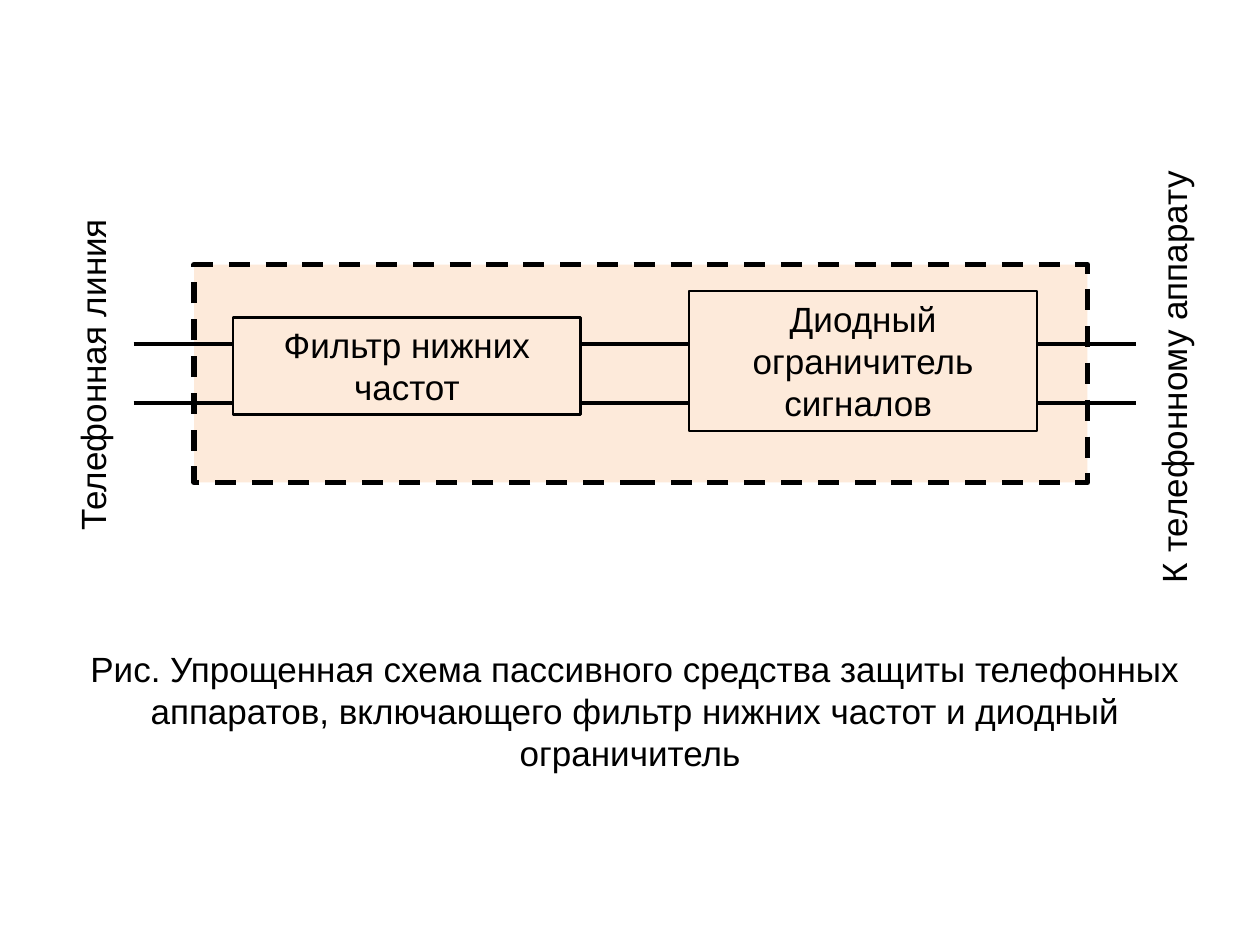
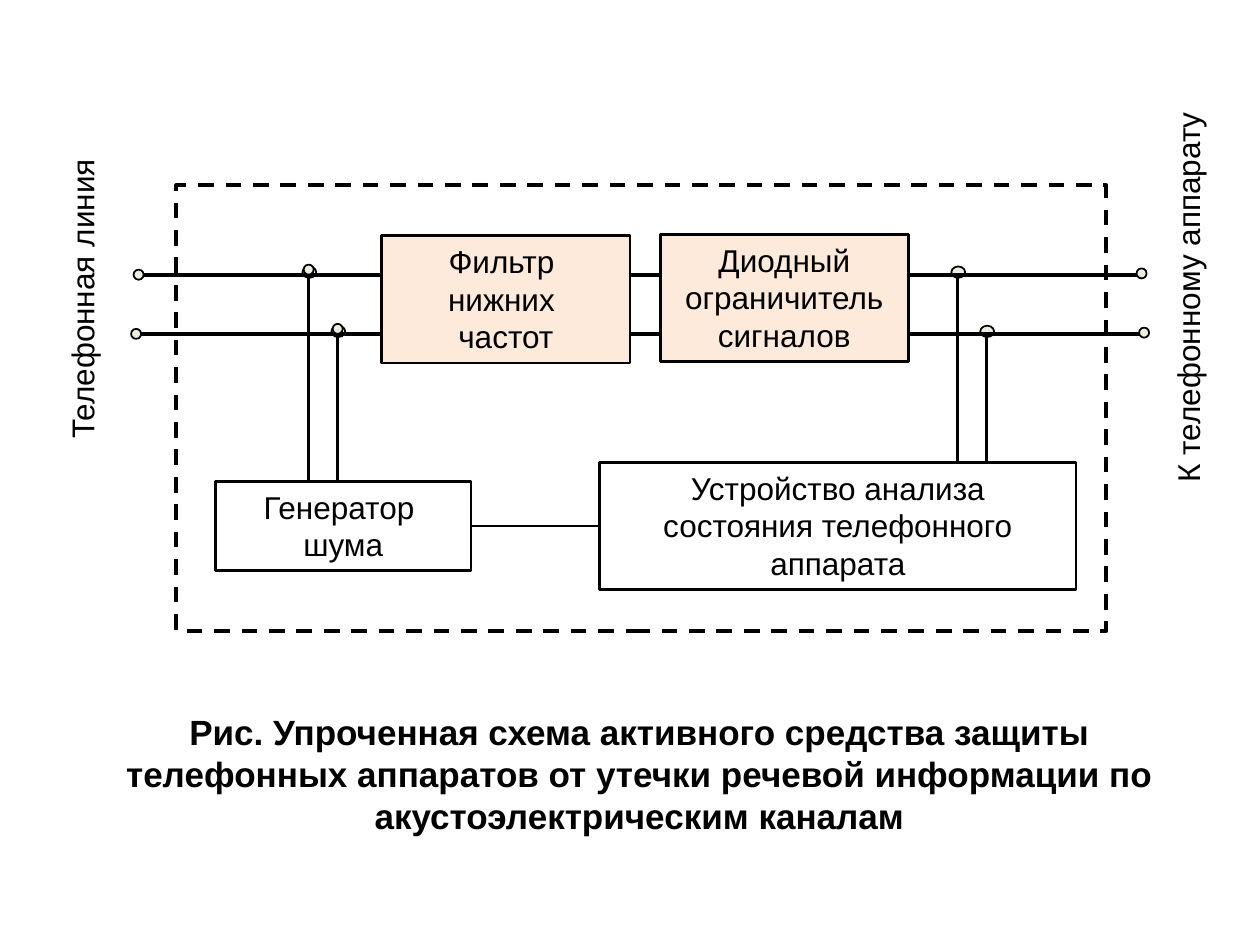
from dataclasses import dataclass

from lxml.etree import SubElement
from pptx import Presentation
from pptx.dml.color import RGBColor
from pptx.enum.dml import MSO_LINE
from pptx.enum.shapes import MSO_CONNECTOR, MSO_SHAPE
from pptx.enum.text import MSO_ANCHOR, MSO_AUTO_SIZE, PP_ALIGN
from pptx.oxml.ns import qn
from pptx.util import Inches, Pt


@dataclass(frozen=True)
class Theme:
    """Colours, type sizes and line widths in points."""
    font: str = "Arial"
    ink: str = "000000"
    peach: str = "FDEADA"
    cream: str = "EEECE1"
    white: str = "FFFFFF"
    large: int = 20
    small: int = 18
    heavy: float = 3
    wire: float = 2.25
    edge: float = 1.5
    fine: float = 1


class Sketch:
    """Draws circuit parts on a grid of 100 columns by 75 rows."""

    def __init__(self, deck, theme):
        self.deck, self.theme = deck, theme
        self.col = deck.slide_width / 100
        self.row = deck.slide_height / 75
        self.slide = None

    def page(self):
        """Start a new blank slide."""
        self.slide = self.deck.slides.add_slide(self.deck.slide_layouts[6])

    def place(self, x, y, w, h):
        """Turn grid cells into slide lengths."""
        return [round(n * unit) for n, unit in zip((x, y, w, h), (self.col, self.row) * 2)]

    def letter(self, shape, lines, size, align=PP_ALIGN.CENTER, bold=False, wrap=True):
        """Fill a shape with paragraphs in one style."""
        frame = shape.text_frame
        frame.word_wrap = wrap
        frame.auto_size = MSO_AUTO_SIZE.SHAPE_TO_FIT_TEXT
        frame.vertical_anchor = MSO_ANCHOR.TOP
        frame.text = "\n".join(lines)
        for para in frame.paragraphs:
            para.alignment = align
            font = para.font
            font.name, font.size, font.bold = self.theme.font, Pt(size), bold
            font.color.rgb = RGBColor.from_string(self.theme.ink)

    def stroke(self, line, width):
        """Give a line the ink colour and a width."""
        line.color.rgb = RGBColor.from_string(self.theme.ink)
        line.width = Pt(width)

    def shape(self, kind, area, fill, width):
        """Add an outlined preset shape."""
        shape = self.slide.shapes.add_shape(kind, *self.place(*area))
        shape.shadow.inherit = False
        if fill:
            shape.fill.solid()
            shape.fill.fore_color.rgb = RGBColor.from_string(fill)
        else:
            shape.fill.background()
        self.stroke(shape.line, width)
        return shape

    def frame(self, area, width, fill=None):
        """Add the dashed border of the device."""
        border = self.shape(MSO_SHAPE.RECTANGLE, area, fill, width)
        border.line.dash_style = MSO_LINE.DASH

    def block(self, area, lines, size, fill=None):
        """Add a named block of the circuit."""
        block = self.shape(MSO_SHAPE.RECTANGLE, area, fill, self.theme.edge)
        self.letter(block, lines, size)
        return block

    def dot(self, x, y, w=0.8, h=0.8):
        """Add a round contact centred on a point."""
        area = (x - w / 2, y - h / 2, w, h)
        self.shape(MSO_SHAPE.FLOWCHART_CONNECTOR, area, self.theme.cream, self.theme.fine)

    def wire(self, x1, y1, x2, y2, width):
        """Add a straight line between two points."""
        ends = self.place(x1, y1, x2, y2)
        wire = self.slide.shapes.add_connector(MSO_CONNECTOR.STRAIGHT, *ends)
        self.stroke(wire.line, width)
        SubElement(wire._element.spPr, qn("a:effectLst"))
        return wire

    def rails(self, x1, x2, rows):
        """Add the level wires of the phone line."""
        for y in rows:
            self.wire(x1, y, x2, y, self.theme.wire)

    def link(self, left, right, y):
        """Join the facing sides of two blocks."""
        wire = self.wire(0, y, 0, y, self.theme.edge)
        wire.begin_connect(left, 3)
        wire.end_connect(right, 1)

    def label(self, text, x, y, w, h, size):
        """Add a label centred on a point and read upwards."""
        box = self.slide.shapes.add_textbox(*self.place(x - w / 2, y - h / 2, w, h))
        box.rotation = 270
        self.letter(box, [text], size, align=PP_ALIGN.LEFT, wrap=False)

    def caption(self, text, area, bold=False):
        """Add the figure caption."""
        box = self.slide.shapes.add_textbox(*self.place(*area))
        self.letter(box, [text], self.theme.large, bold=bold)


LINE = "Телефонная линия"
PHONE = "К телефонному аппарату"


def passive(art):
    """Draw the passive protection circuit."""
    theme, rows = art.theme, (27.3, 32)
    size = theme.large
    art.page()
    art.caption("Рис. Упрощенная схема пассивного средства защиты телефонных аппаратов, "
                "включающего фильтр нижних частот и диодный ограничитель ",
                (5.1, 50.9, 90.6, 11.1))
    art.frame((15.4, 21, 70.9, 17.3), theme.heavy, theme.peach)
    art.block((18.5, 25.2, 27.6, 7.7), ["Фильтр нижних частот"], size)
    art.block((54.7, 23.1, 27.6, 11.1), ["Диодный ограничитель сигналов "], size)
    for start, end in ((10.6, 18.5), (46.1, 54.7), (82.3, 90.2)):
        art.rails(start, end, rows)
    art.label(LINE, 7.35, 29.6, 26.9, 4.4, size)
    art.label(PHONE, 93.15, 29.8, 34.9, 4.4, size)


def active(art):
    """Draw the active protection circuit."""
    theme, rows = art.theme, (21.8, 26.5)
    size = theme.small
    art.page()
    art.caption("Рис. Упроченная схема активного средства защиты телефонных аппаратов "
                "от утечки речевой информации по акустоэлектрическим каналам",
                (5.1, 55.9, 91.3, 11.1), bold=True)
    art.frame((14, 14.7, 73.8, 35.4), theme.wire)
    for first in (24.5, 76):
        for x, y in zip((first, first + 2.3), rows):
            art.wire(x, y, x, 38.3, theme.edge)
            art.dot(x + 0.05, y - 0.2, 1.1, 0.9)
    art.rails(10.6, 90.9, rows)
    art.block((52.4, 18.6, 19.7, 10.1), ["Диодный ограничитель сигналов"], size, theme.peach)
    art.block((30.3, 18.7, 19.7, 10.1), ["Фильтр ", "нижних ", "частот"], size, theme.peach)
    for upper, lower, lift in ((11, 10.8, 0), (24.5, 26.8, 0.4), (90.6, 90.8, 0.1)):
        for x, y in zip((upper, lower), rows):
            art.dot(x, y - lift)
    noise = art.block((17.1, 38.2, 20.3, 7.1), ["Генератор ", "шума"], size)
    tester = art.block((47.6, 36.7, 37.8, 10.1),
                       ["Устройство анализа состояния телефонного аппарата"], size, theme.white)
    art.link(noise, tester, 41.75)
    art.label(LINE, 6.5, 23.6, 24.4, 4, size)
    art.label(PHONE, 94.25, 23.4, 31.7, 4, size)


def main():
    """Build and save both slides."""
    deck = Presentation()
    deck.slide_width, deck.slide_height = Inches(10), Inches(7.5)
    art = Sketch(deck, Theme())
    passive(art)
    active(art)
    deck.save("out.pptx")


if __name__ == "__main__":
    main()
